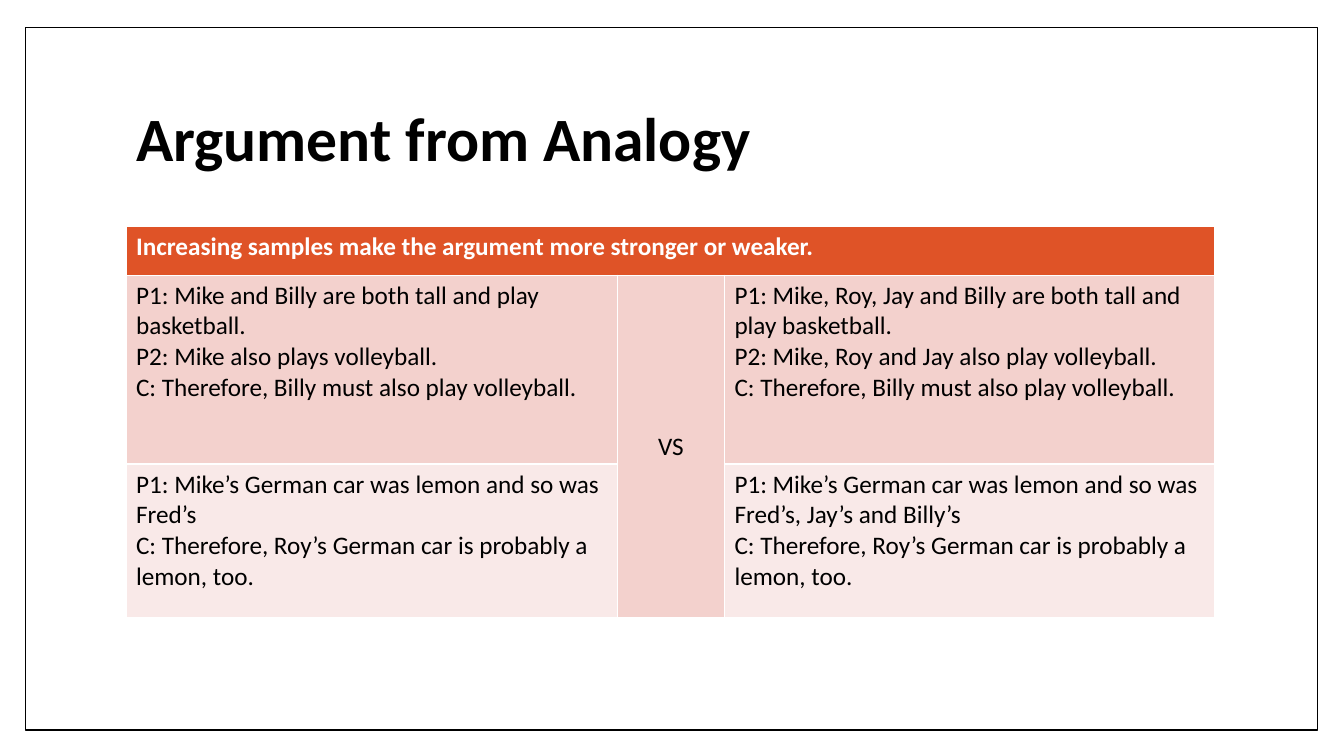
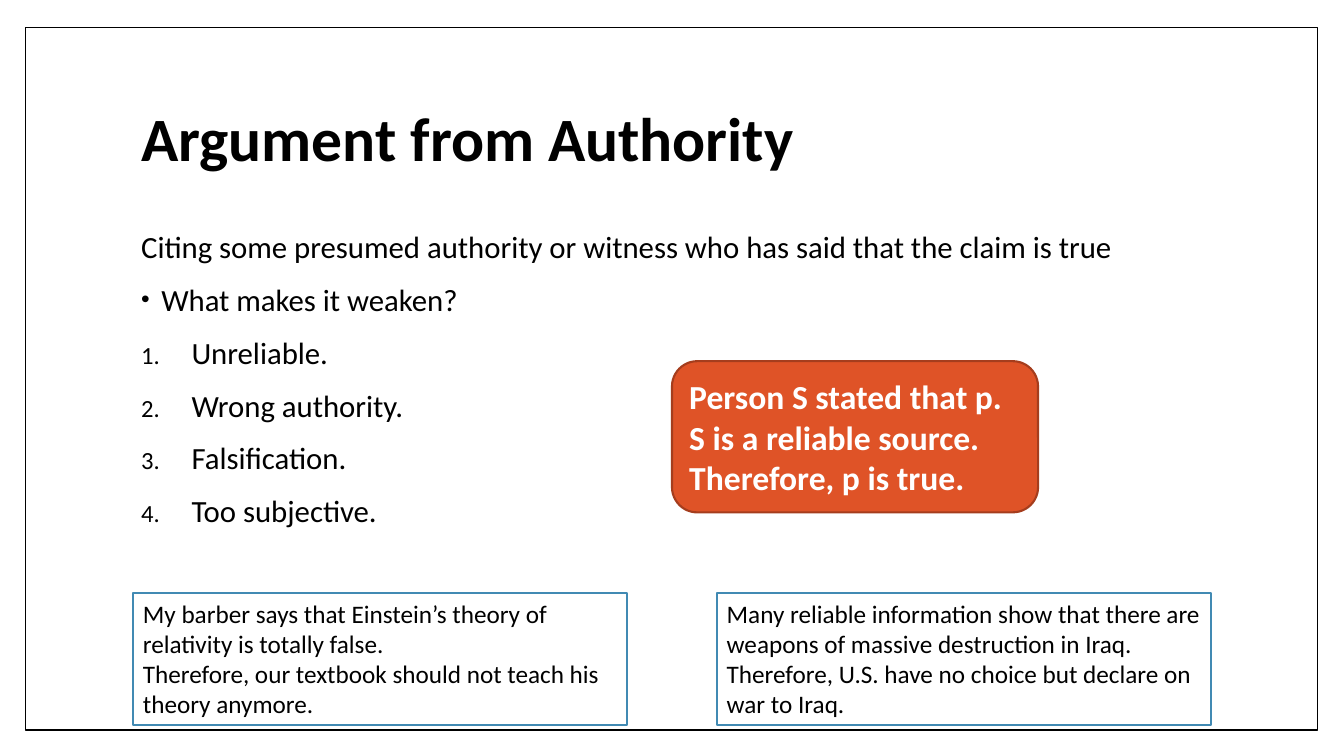
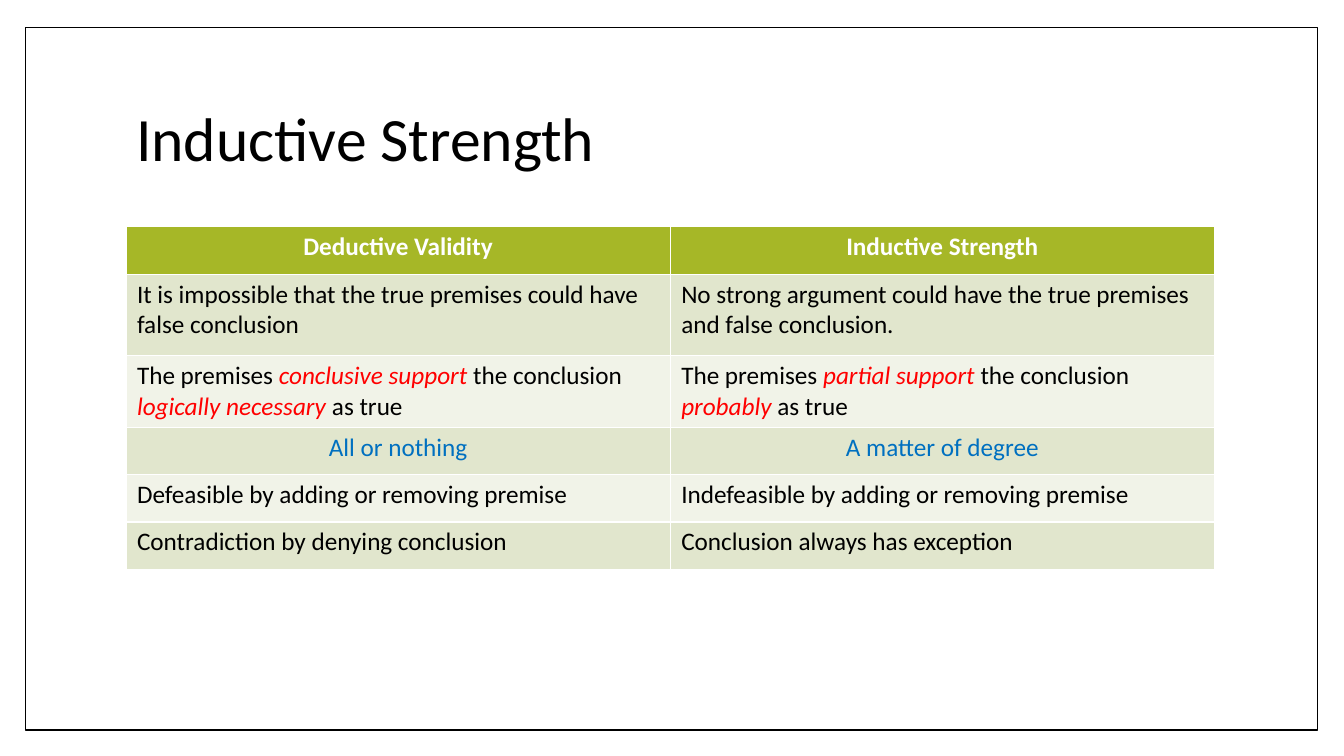
"""Build three slides on inductive arguments: analogy, authority and strength."""
from lxml.etree import SubElement
from pptx import Presentation
from pptx.dml.color import RGBColor
from pptx.enum.shapes import MSO_SHAPE as Preset
from pptx.enum.text import MSO_ANCHOR as Anchor, MSO_AUTO_SIZE as AutoSize, PP_ALIGN as Align
from pptx.oxml.ns import qn
from pptx.util import Pt

FONT = "Calibri"
BLACK, WHITE, RED, BLUE = "000000", "FFFFFF", "FF0000", "0070C0"
ORANGE, DARK_ORANGE, STEEL = "DF5327", "A53D1D", "418AB3"
ORANGE_TABLE = (ORANGE, "F3D1CD", "F9E9E8")
GREEN_TABLE = ("A6B727", "E1E6CD", "F1F3E8")

WIDTH, HEIGHT = 960, 540
FRAME = (18, 19.5, 923, 502)
TITLE = (90, 48, 777.5, 106.5)
BODY = (90, 162, 777.5, 318)

CAR_CONCLUSION = "C: Therefore, Roy’s German car is probably a lemon, too."
BALL_CONCLUSION = "C: Therefore, Billy must also play volleyball."
SAMPLES = [
    dict(height=34.5, colour=WHITE, bold=True, cells=[
        ["Increasing samples make the argument more stronger or weaker."], [], []]),
    dict(height=135, cells=[
        ["P1: Mike and Billy are both tall and play basketball.",
         "P2: Mike also plays volleyball.", BALL_CONCLUSION],
        ["VS"],
        ["P1: Mike, Roy, Jay and Billy are both tall and play basketball.",
         "P2: Mike, Roy and Jay also play volleyball.", BALL_CONCLUSION]]),
    dict(height=110, cells=[
        ["P1: Mike’s German car was lemon and so was Fred’s", CAR_CONCLUSION],
        [],
        ["P1: Mike’s German car was lemon and so was Fred’s, Jay’s and Billy’s",
         CAR_CONCLUSION]]),
]

AUTHORITY = [
    ("Citing some presumed authority or witness who has said that the claim is true", "plain"),
    ("What makes it weaken?", "bullet"),
    ("Unreliable.", "number"),
    ("Wrong authority.", "number"),
    ("Falsification.", "number"),
    ("Too subjective.", "number"),
]
INDENTS = {"plain": (3.6, 0), "bullet": (18, -14.4), "number": (39.6, -36)}
SCHEMA = ["Person S stated that p.", "S is a reliable source.", "Therefore, p is true."]
EXAMPLES = [
    ["My barber says that Einstein’s theory of relativity is totally false.",
     "Therefore, our textbook should not teach his theory anymore."],
    ["Many reliable information show that there are weapons of massive destruction in Iraq.",
     "Therefore, U.S. have no choice but declare on war to Iraq."],
]
EXAMPLE_MARGIN, EXAMPLE_TOP, EXAMPLE_WIDTH, EXAMPLE_HEIGHT = 95, 423.5, 353, 94.5

COMPARISON = [
    dict(height=33.8, colour=WHITE, bold=True, align=Align.CENTER, cells=[
        ["Deductive Validity"], ["Inductive Strength"]]),
    dict(height=58.3, cells=[
        ["It is impossible that the true premises could have false conclusion"],
        ["No strong argument could have the true premises and false conclusion."]]),
    dict(height=33.8, cells=[
        [[("The premises ", False), ("conclusive support ", True), ("the conclusion ", False),
          ("logically necessary ", True), ("as true", False)]],
        [[("The premises ", False), ("partial support ", True), ("the conclusion ", False),
          ("probably", True), (" as true", False)]]]),
    dict(height=33.8, colour=BLUE, align=Align.CENTER, cells=[
        ["All or nothing"], ["A matter of degree"]]),
    dict(height=33.8, cells=[
        ["Defeasible by adding or removing premise"],
        ["Indefeasible by adding or removing premise"]]),
    dict(height=33.8, cells=[
        ["Contradiction by denying conclusion"], ["Conclusion always has exception"]]),
]


def paint(target, colour):
    """Give a fill or a font a solid colour."""
    if hasattr(target, "solid"):
        target.solid()
        target.fore_color.rgb = RGBColor.from_string(colour)
    else:
        target.color.rgb = RGBColor.from_string(colour)


def write(frame, paragraphs, size, colour=BLACK, bold=False, align=Align.LEFT):
    """Write paragraphs, each a string or a list of (words, emphasised) runs."""
    frame.word_wrap = True
    for index, content in enumerate(paragraphs):
        paragraph = frame.paragraphs[0] if index == 0 else frame.add_paragraph()
        paragraph.alignment = align
        for words, emphasised in [(content, False)] if isinstance(content, str) else content:
            run = paragraph.add_run()
            run.text = words
            run.font.name, run.font.size = FONT, Pt(size)
            run.font.bold, run.font.italic = bold, emphasised
            paint(run.font, RED if emphasised else colour)


def place(shape, box):
    """Move and size a shape to a box in points."""
    shape.left, shape.top, shape.width, shape.height = map(Pt, box)


def add_box(slide, preset, box, fill, outline, weight):
    """Add a filled and outlined preset shape without a shadow."""
    shape = slide.shapes.add_shape(preset, *map(Pt, box))
    shape.shadow.inherit = False
    paint(shape.fill, fill)
    paint(shape.line.fill, outline)
    shape.line.width = Pt(weight)
    return shape


def add_titled_slide(deck, layout, title, bold=True, indent=0):
    """Add a slide with the shared title style."""
    slide = deck.slides.add_slide(deck.slide_layouts[layout])
    heading = slide.shapes.title
    place(heading, TITLE)
    frame = heading.text_frame
    write(frame, [title], 44, bold=bold)
    frame.auto_size, frame.vertical_anchor = AutoSize.NONE, Anchor.MIDDLE
    frame.paragraphs[0].line_spacing = 0.9
    frame.paragraphs[0]._p.get_or_add_pPr().set("marL", str(Pt(indent)))
    return slide


def add_frame(deck, slide):
    """Put the page border on the master, behind everything."""
    border = add_box(slide, Preset.RECTANGLE, FRAME, WHITE, BLACK, 1)
    deck.slide_master.shapes.element.insert(2, border.element)


def add_grid(slide, rows, widths, fills, inset):
    """Add a table with a header fill and two alternating row fills."""
    height = sum(row["height"] for row in rows)
    box = (BODY[0], BODY[1], sum(widths), height)
    table = slide.shapes.add_table(len(rows), len(widths), *map(Pt, box)).table
    for column, width in zip(table.columns, widths):
        column.width = Pt(width)
    for r, row in enumerate(rows):
        table.rows[r].height = Pt(row["height"])
        for c, paragraphs in enumerate(row["cells"]):
            cell = table.cell(r, c)
            cell.margin_left = cell.margin_right = Pt(inset)
            paint(cell.fill, fills[0] if r == 0 else fills[1 + (r - 1) % 2])
            write(cell.text_frame, paragraphs, 18, row.get("colour", BLACK),
                  row.get("bold", False), row.get("align", Align.LEFT))
    return table


def mark(paragraph, kind):
    """Set the indent and the bullet or number of a body paragraph."""
    margin, indent = INDENTS[kind]
    properties = paragraph._p.get_or_add_pPr()
    properties.set("marL", str(Pt(margin)))
    properties.set("indent", str(Pt(indent)))
    if kind == "plain":
        SubElement(properties, qn("a:buNone"))
        return
    SubElement(SubElement(properties, qn("a:buClr")), qn("a:srgbClr"), val=BLACK)
    SubElement(properties, qn("a:buSzPct"), val="80000")
    if kind == "bullet":
        SubElement(properties, qn("a:buFont"), typeface="Arial")
        SubElement(properties, qn("a:buChar"), char="•")
    else:
        SubElement(properties, qn("a:buFont"), typeface=FONT)
        SubElement(properties, qn("a:buAutoNum"), type="arabicPeriod")


def build_analogy(deck):
    """Compare small and large samples."""
    slide = add_titled_slide(deck, 5, "Argument from Analogy")
    add_frame(deck, slide)
    table = add_grid(slide, SAMPLES, (351, 76.5, 350), ORANGE_TABLE, 7.2)
    table.cell(0, 0).merge(table.cell(0, 2))
    versus = table.cell(1, 1)
    versus.merge(table.cell(2, 1))
    versus.vertical_anchor = Anchor.MIDDLE
    versus.text_frame.paragraphs[0].alignment = Align.CENTER


def build_authority(deck):
    """List the weaknesses of citing authority, with schema and examples."""
    slide = add_titled_slide(deck, 1, "Argument from Authority", indent=3.6)
    body = slide.placeholders[1]
    place(body, BODY)
    write(body.text_frame, [words for words, _ in AUTHORITY], 22)
    body.text_frame.auto_size = AutoSize.NONE
    for paragraph, (_, kind) in zip(body.text_frame.paragraphs, AUTHORITY):
        paragraph.line_spacing, paragraph.space_before = 0.9, Pt(14)
        mark(paragraph, kind)

    schema = add_box(slide, Preset.ROUNDED_RECTANGLE, (480, 258, 261.5, 108),
                     ORANGE, DARK_ORANGE, 1.5)
    write(schema.text_frame, SCHEMA, 24, WHITE, bold=True)

    step = WIDTH - 2 * EXAMPLE_MARGIN - EXAMPLE_WIDTH
    for index, sentences in enumerate(EXAMPLES):
        box = (EXAMPLE_MARGIN + index * step, EXAMPLE_TOP, EXAMPLE_WIDTH, EXAMPLE_HEIGHT)
        example = add_box(slide, Preset.RECTANGLE, box, WHITE, STEEL, 1.5)
        write(example.text_frame, sentences, 18)
        example.text_frame.vertical_anchor = Anchor.TOP


def build_strength(deck):
    """Contrast deductive validity with inductive strength."""
    slide = add_titled_slide(deck, 5, "Inductive Strength", bold=False)
    add_grid(slide, COMPARISON, (388.75, 388.75), GREEN_TABLE, 7.9)


def main():
    """Build and save the deck."""
    deck = Presentation()
    deck.slide_width, deck.slide_height = Pt(WIDTH), Pt(HEIGHT)
    build_analogy(deck)
    build_authority(deck)
    build_strength(deck)
    deck.save("out.pptx")


if __name__ == "__main__":
    main()
